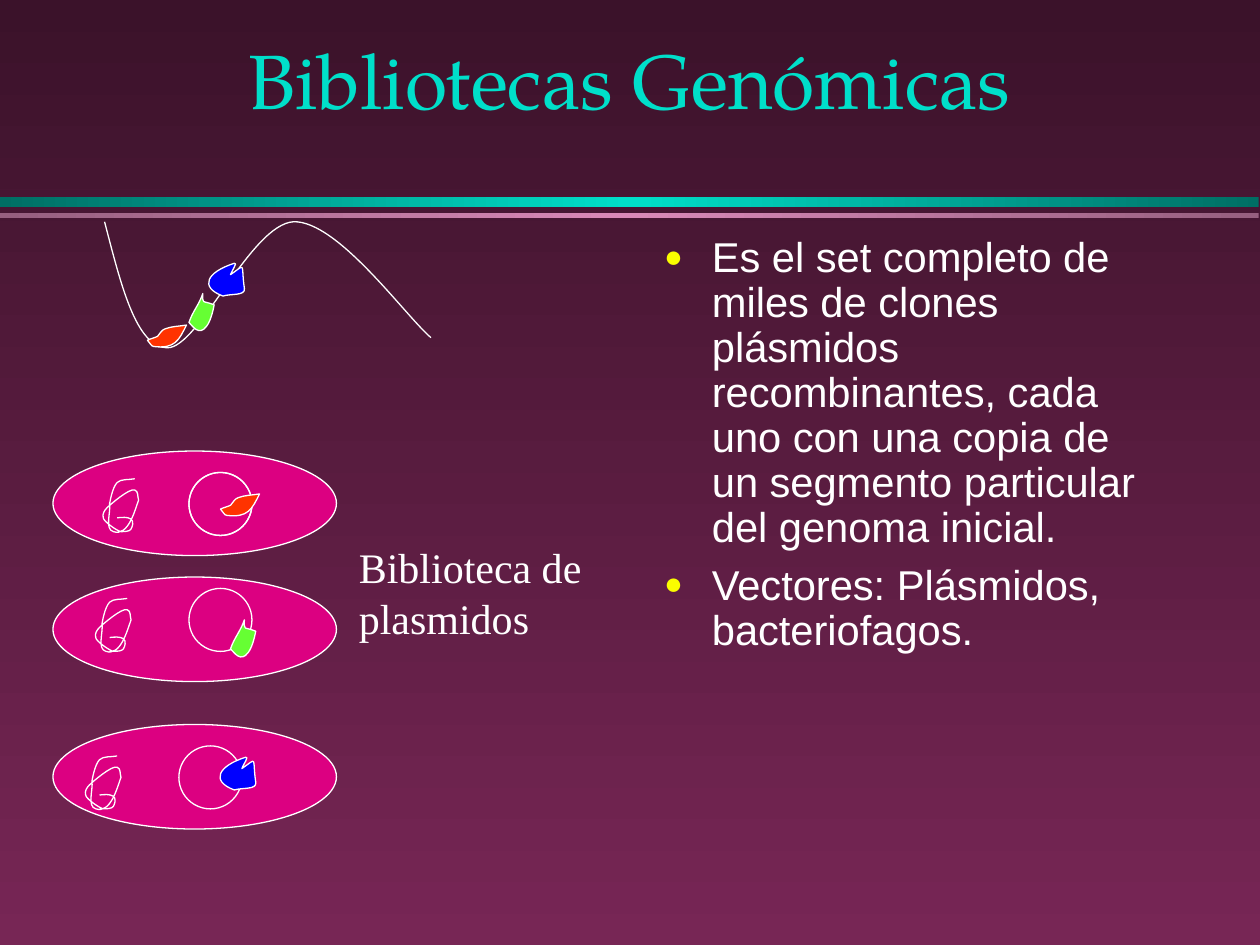
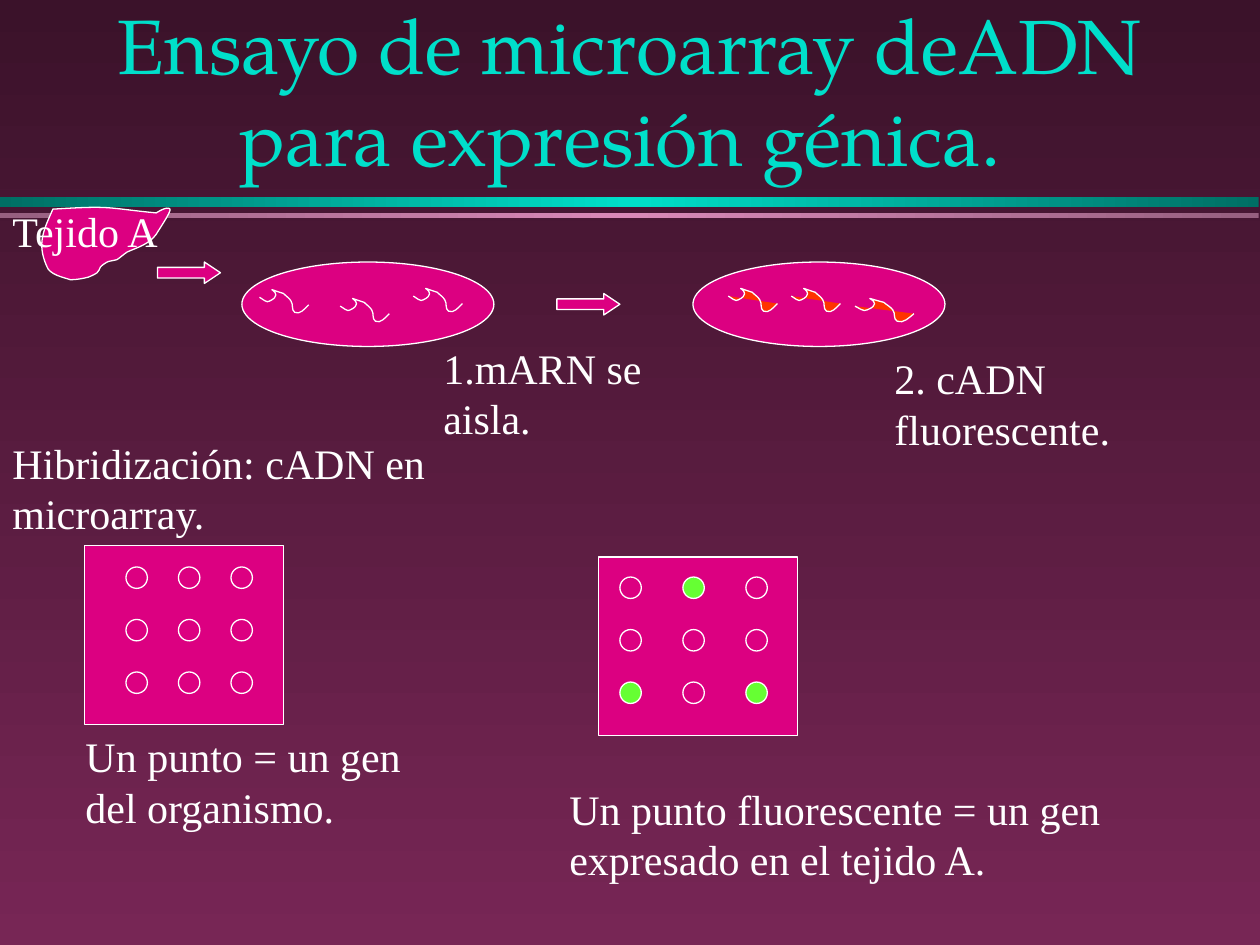
import copy

import pptx
import pptx.dml.color
import pptx.enum.shapes
import pptx.enum.text
import pptx.oxml.ns
import pptx.util
from lxml import etree

Inches = pptx.util.Inches
Pt = pptx.util.Pt
RGBColor = pptx.dml.color.RGBColor
Shape = pptx.enum.shapes.MSO_SHAPE
qn = pptx.oxml.ns.qn

# Colours and fonts
NIGHT = RGBColor(0x3B, 0x12, 0x2A)
PLUM = RGBColor(0x77, 0x26, 0x55)
TEAL_DARK = RGBColor(0x00, 0x6E, 0x64)
TEAL = RGBColor(0x00, 0xDF, 0xCA)
MAUVE_DARK = RGBColor(0x96, 0x5F, 0x7F)
MAUVE = RGBColor(0xD9, 0x89, 0xB8)
WHITE = RGBColor(0xFF, 0xFF, 0xFF)
YELLOW = RGBColor(0xFA, 0xFD, 0x00)
MAGENTA = RGBColor(0xDC, 0x00, 0x81)
BLUE = RGBColor(0x00, 0x00, 0xFF)
RED = RGBColor(0xFF, 0x33, 0x00)
GREEN = RGBColor(0x66, 0xFF, 0x33)
TITLE_FONT = "TeX Gyre Pagella"
BODY_FONT = "Arial"
LABEL_FONT = "Times New Roman"

# Curves in inches: a start point, then three Bezier points per piece
DNA_WAVE = [(0.83, 1.76), (0.96, 2.26), (1.08, 2.76), (1.33, 2.76),
            (1.58, 2.76), (1.99, 1.78), (2.33, 1.76),
            (2.68, 1.75), (3.22, 2.51), (3.42, 2.68)]
BLUE_GENE = [(0.25, 0.1), (0.26, 0.07), (0.31, 0), (0.28, 0.01),
             (0.06, 0.08), (0, 0.2), (0.19, 0.27),
             (0.25, 0.25), (0.37, 0.27), (0.36, 0.21),
             (0.33, 0.01), (0.38, 0.01), (0.25, 0.1)]
RED_GENE = [(0.31, 0), (0.25, 0.01), (0.19, 0.01), (0.14, 0.03),
            (0.11, 0.04), (0.1, 0.07), (0.08, 0.09),
            (0.06, 0.1), (0.02, 0.11), (0, 0.12),
            (0.02, 0.14), (0.03, 0.17), (0.05, 0.17),
            (0.22, 0.19), (0.25, 0.12), (0.31, 0)]
GREEN_GENE = [(0.11, 0), (0.08, 0.09), (0.03, 0.14), (0, 0.23),
              (0.03, 0.26), (0.08, 0.34), (0.14, 0.26),
              (0.18, 0.21), (0.2, 0.09), (0.2, 0.09),
              (0.1, 0.05), (0.11, 0.09), (0.11, 0)]
CHROMOSOME = [(0.26, 0), (0.21, 0.01), (0.15, 0), (0.12, 0.03),
              (0.08, 0.07), (0.06, 0.2), (0.06, 0.2),
              (0.07, 0.27), (0.02, 0.4), (0.09, 0.42),
              (0.21, 0.46), (0.26, 0.25), (0.29, 0.17),
              (0.28, 0.14), (0.29, 0.1), (0.26, 0.09),
              (0.22, 0.07), (0.06, 0.21), (0.04, 0.23),
              (0.02, 0.25), (0, 0.28), (0.01, 0.31),
              (0.01, 0.34), (0.13, 0.42), (0.15, 0.42),
              (0.17, 0.42), (0.22, 0.42), (0.23, 0.4),
              (0.29, 0.28), (0.14, 0.31), (0.12, 0.31)]
STRAND = [(0.03, 0.1), (0.05, 0.11), (0.09, 0.15), (0.11, 0.13),
          (0.26, 0.06), (0, 0), (0.22, 0.07),
          (0.24, 0.09), (0.27, 0.11), (0.28, 0.13),
          (0.3, 0.16), (0.28, 0.2), (0.31, 0.22),
          (0.35, 0.24), (0.39, 0.19), (0.42, 0.16)]
TISSUE = [(1.24, 1.69), (0.83, 1.65), (0.9, 1.63), (0.42, 1.66),
          (0.35, 1.82), (0.29, 1.93), (0.37, 2.11),
          (0.39, 2.18), (0.5, 2.2), (0.56, 2.22),
          (0.61, 2.22), (0.66, 2.21), (0.7, 2.2),
          (0.85, 2.14), (0.73, 2.15), (0.85, 2.08),
          (0.87, 2.07), (0.9, 2.07), (0.93, 2.06),
          (0.96, 2.04), (0.98, 2.02), (1.01, 2),
          (1.1, 1.96), (1.18, 1.94), (1.24, 1.86),
          (1.25, 1.84), (1.36, 1.68), (1.35, 1.66),
          (1.33, 1.63), (1.24, 1.69), (1.24, 1.69)]
DOT_PITCH = 1.25 / 3


def style(shape, fill):
    shape.shadow.inherit = False
    if fill is None:
        shape.fill.background()
    else:
        shape.fill.solid()
        shape.fill.fore_color.rgb = fill
    shape.line.color.rgb = WHITE
    shape.line.width = Pt(0.75)


def add_preset(page, kind, left, top, width, height, fill=MAGENTA):
    shape = page.shapes.add_shape(kind, Inches(left), Inches(top),
                                  Inches(width), Inches(height))
    style(shape, fill)
    return shape


def bend_lines(shape):
    """Turn each three line segments of a freeform into one Bezier piece."""
    outline = shape.element.find(".//" + qn("a:path"))
    lines = outline.findall(qn("a:lnTo"))
    for i in range(0, len(lines), 3):
        piece = etree.Element(qn("a:cubicBezTo"))
        lines[i].addprevious(piece)
        for line in lines[i:i + 3]:
            piece.append(line[0])
            outline.remove(line)


def add_curve(page, points, left=0, top=0, fill=None, stretch=1):
    placed = [(Inches(left + x * stretch), Inches(top + y)) for x, y in points]
    builder = page.shapes.build_freeform(*placed[0])
    builder.add_line_segments(placed[1:], close=points[0] == points[-1])
    curve = builder.convert_to_shape()
    bend_lines(curve)
    style(curve, fill)


def add_band(page, top, height, edge, middle):
    band = page.shapes.add_shape(Shape.RECTANGLE, 0, Inches(top),
                                 Inches(9.99), Inches(height))
    band.shadow.inherit = False
    band.line.fill.background()
    band.fill.gradient()
    band.fill.gradient_angle = 0
    stop_list = band.element.find(".//" + qn("a:gsLst"))
    stop_list.insert(1, copy.deepcopy(stop_list[0]))
    for stop, color, position in zip(band.fill.gradient_stops,
                                     (edge, middle, edge), (0, 0.5, 1)):
        stop.color.rgb = color
        stop.position = position


def set_font(paragraph, name, size, color):
    paragraph.font.name = name
    paragraph.font.size = Pt(size)
    paragraph.font.color.rgb = color


def place(shape, left, top, width, height):
    shape.left, shape.top = Inches(left), Inches(top)
    shape.width, shape.height = Inches(width), Inches(height)


def add_page(deck, layout, title, title_height):
    page = deck.slides.add_slide(deck.slide_layouts[layout])
    add_band(page, 1.56, 0.08, TEAL_DARK, TEAL)
    add_band(page, 1.69, 0.04, MAUVE_DARK, MAUVE)
    box = page.shapes.title
    place(box, 0.75, 0, 8.5, title_height)
    frame = box.text_frame
    frame.text = title
    frame.auto_size = pptx.enum.text.MSO_AUTO_SIZE.NONE
    frame.vertical_anchor = pptx.enum.text.MSO_ANCHOR.MIDDLE
    paragraph = frame.paragraphs[0]
    paragraph.alignment = pptx.enum.text.PP_ALIGN.CENTER
    set_font(paragraph, TITLE_FONT, 44, TEAL)
    return page


def add_bullet(paragraph):
    properties = paragraph._p.get_or_add_pPr()
    properties.set("marL", str(Inches(0.38)))
    properties.set("indent", str(-Inches(0.38)))
    color = etree.SubElement(properties, qn("a:buClr"))
    etree.SubElement(color, qn("a:srgbClr"), val=str(YELLOW))
    etree.SubElement(properties, qn("a:buSzPct"), val="75000")
    etree.SubElement(properties, qn("a:buChar"), char="●")


def fill_list(box, items):
    frame = box.text_frame
    frame.text = "\n".join(items)
    frame.auto_size = pptx.enum.text.MSO_AUTO_SIZE.NONE
    for i, paragraph in enumerate(frame.paragraphs):
        add_bullet(paragraph)
        paragraph.line_spacing = 0.9
        paragraph.space_before = Pt(7 if i else 0)
        set_font(paragraph, BODY_FONT, 23.8, WHITE)


def add_label(page, text, left, top, width, height=0.9):
    box = page.shapes.add_textbox(Inches(left), Inches(top),
                                  Inches(width), Inches(height))
    frame = box.text_frame
    frame.word_wrap = True
    frame.auto_size = pptx.enum.text.MSO_AUTO_SIZE.SHAPE_TO_FIT_TEXT
    frame.text = text
    set_font(frame.paragraphs[0], LABEL_FONT, 24, WHITE)


def add_microarray(page, left, top, first_dot, column_gap, lit=()):
    add_preset(page, Shape.RECTANGLE, left, top, 1.58, 1.42)
    for row in range(3):
        for column in range(3):
            add_preset(page, Shape.OVAL, first_dot[0] + column * column_gap,
                       first_dot[1] + row * DOT_PITCH, 0.17, 0.17,
                       GREEN if (row, column) in lit else MAGENTA)


def build_library(deck):
    page = add_page(deck, 1, "Bibliotecas Genómicas", 1.25)
    body = page.placeholders[1]
    place(body, 5.17, 1.83, 4.17, 4.5)
    fill_list(body, [
        "Es el set completo de miles de clones plásmidos recombinantes, cada "
        "uno con una copia de un segmento particular del genoma inicial.",
        "Vectores: Plásmidos, bacteriofagos."])

    # Genome with its three genes
    add_curve(page, DNA_WAVE)
    add_curve(page, BLUE_GENE, 1.58, 2.08, BLUE)
    add_curve(page, RED_GENE, 1.17, 2.58, RED)
    add_curve(page, GREEN_GENE, 1.5, 2.33, GREEN)

    # Bacteria: cell top, chromosome, plasmid and its ring width, gene
    bacteria = [
        (3.58, (0.81, 3.8), (1.5, 3.75), 0, RED_GENE, (1.75, 3.92), RED),
        (4.58, (0.75, 4.75), (1.5, 4.67), 0.5, GREEN_GENE, (1.83, 4.92), GREEN),
        (5.75, (0.67, 6), (1.42, 5.92), 0.5, BLUE_GENE, (1.67, 6), BLUE)]
    for top, chromosome, plasmid, ring, gene, gene_place, color in bacteria:
        add_preset(page, Shape.OVAL, 0.42, top, 2.25, 0.83)
        add_curve(page, CHROMOSOME, *chromosome)
        donut = add_preset(page, Shape.DONUT, *plasmid, 0.5, 0.5)
        donut.adjustments[0] = ring
        add_curve(page, gene, *gene_place, color)
    add_label(page, "Biblioteca de plasmidos", 2.75, 4.25, 2.67)


def build_microarray(deck):
    page = add_page(deck, 5, "Ensayo de microarray deADN para expresión génica. ",
                    1.42)

    # Tissue, mRNA and fluorescent cDNA
    add_curve(page, TISSUE, fill=MAGENTA)
    for left in (1.92, 5.5):
        add_preset(page, Shape.OVAL, left, 2.08, 2, 0.67)
    for left, top in ((2.03, 2.26), (2.67, 2.33), (3.25, 2.25)):
        add_curve(page, STRAND, left, top)
    for left, top, stretch in ((5.75, 2.25, 1), (6.25, 2.25, 1),
                               (6.75, 2.33, 1.2)):
        add_curve(page, STRAND, left, top, RED, stretch)
    for left, top in ((1.25, 2.08), (4.42, 2.33)):
        arrow = add_preset(page, Shape.RIGHT_ARROW, left, top, 0.5, 0.17)
        arrow.adjustments[1] = 0.75
    add_label(page, "Tejido A", 0, 1.58, 1.42, 0.5)
    add_label(page, "1.mARN se aisla.", 3.42, 2.67, 1.92)
    add_label(page, "2. cADN fluorescente.", 7, 2.75, 2.42)

    # Microarrays before and after hybridization
    add_microarray(page, 0.67, 4.33, (1, 4.5), DOT_PITCH)
    add_microarray(page, 4.75, 4.42, (4.92, 4.58), 0.5,
                   lit={(0, 1), (2, 0), (2, 2)})
    add_label(page, "Hibridización: cADN en microarray.", 0, 3.42, 3.92)
    add_label(page, "Un punto = un gen del organismo.", 0.58, 5.75, 3)
    add_label(page, "Un punto fluorescente = un gen expresado en el tejido A.",
              4.42, 6.17, 4.75)


def main():
    deck = pptx.Presentation()
    deck.slide_width, deck.slide_height = Inches(10), Inches(7.5)
    # Shared background
    backdrop = deck.slide_master.background.fill
    backdrop.gradient()
    backdrop.gradient_angle = 270
    for stop, color in zip(backdrop.gradient_stops, (NIGHT, PLUM)):
        stop.color.rgb = color
    build_library(deck)
    build_microarray(deck)
    deck.save("out.pptx")


if __name__ == "__main__":
    main()
